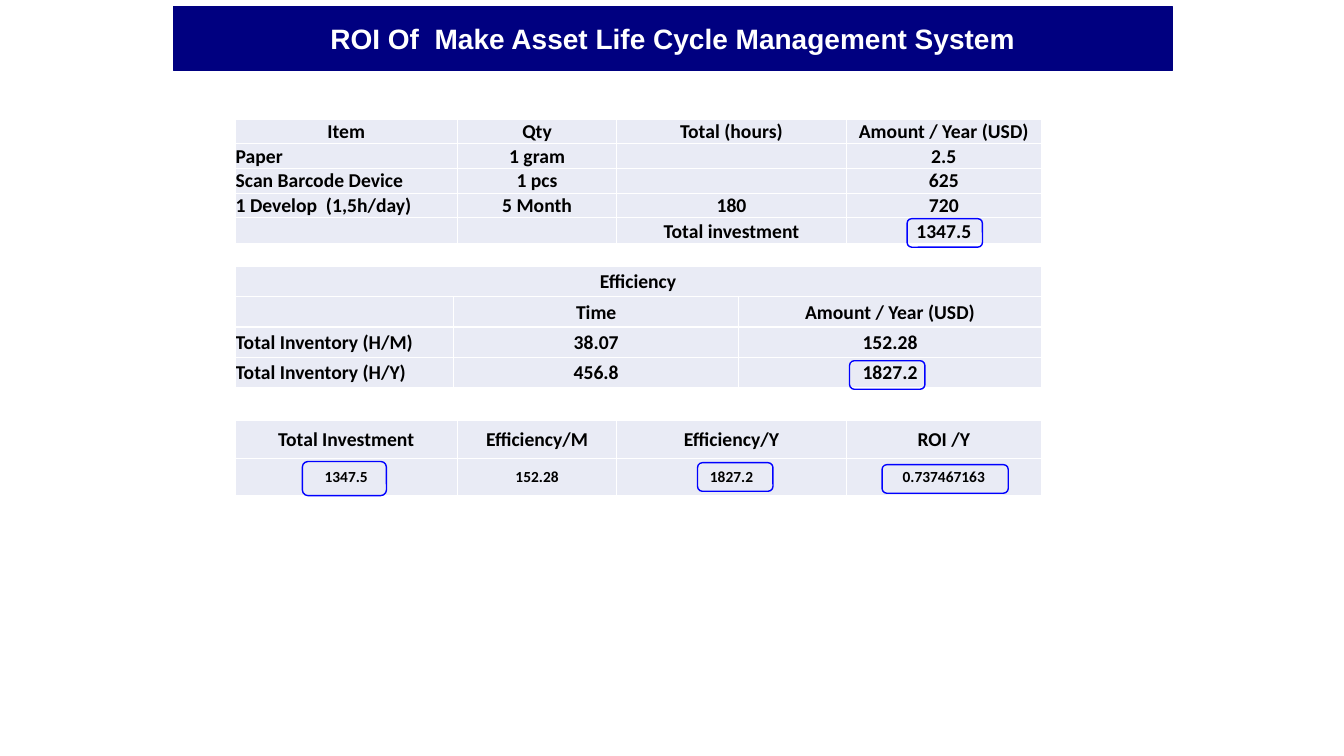
from lxml.etree import SubElement
from pptx import Presentation
from pptx.dml.color import RGBColor
from pptx.enum.shapes import MSO_SHAPE
from pptx.enum.text import MSO_ANCHOR, MSO_AUTO_SIZE, PP_ALIGN
from pptx.oxml.ns import qn
from pptx.util import Cm, Pt


def rgb(color):
    return RGBColor.from_string(color)


def add_borders(cell, color):
    tcPr = cell._tc.get_or_add_tcPr()
    for side in ("a:lnL", "a:lnR", "a:lnT", "a:lnB"):
        ln = SubElement(tcPr, qn(side), w=str(Pt(1)))
        fill = SubElement(ln, qn("a:solidFill"))
        SubElement(fill, qn("a:srgbClr"), val=color)


prs = Presentation()
prs.slide_width, prs.slide_height = Cm(33.87), Cm(19.05)
s = prs.slides.add_slide(prs.slide_layouts[5])

# Title banner
title = s.shapes.title
title.left, title.top, title.width, title.height = Cm(4.37), Cm(0.17), Cm(25.17), Cm(1.6)
title.fill.solid()
title.fill.fore_color.rgb = rgb("000080")
title.line.color.rgb = rgb("000080")
title.line.width = Pt(0.75)
tf = title.text_frame
tf.text = "ROI Of  Make Asset Life Cycle Management System"
tf.word_wrap = False
tf.auto_size = MSO_AUTO_SIZE.NONE
tf.vertical_anchor = MSO_ANCHOR.MIDDLE
p = tf.paragraphs[0]
p.alignment = PP_ALIGN.CENTER
p.space_before = Pt(4)
p.font.name, p.font.size, p.font.bold = "Arial", Pt(20), True
p.font.color.rgb = rgb("FFFFFF")

# Tables: top, column widths, row heights, label alignment, body size, rows
four_cols = [5.61, 4.01, 5.79, 4.91]
tables = [
    (3, four_cols, [0.62] * 4 + [0.66], PP_ALIGN.LEFT, 14, [
        ["Item", "Qty", "Total (hours)", "Amount / Year (USD)"],
        ["Paper", "1 gram", "", "2.5"],
        ["Scan Barcode Device", "1 pcs", "", "625"],
        ["1 Develop  (1,5h/day)", "5 Month", "180", "720"],
        ["", "", "Total investment", "1347.5"],
    ]),
    (6.72, [5.51, 7.19, 7.62], [0.76] * 4, PP_ALIGN.LEFT, 14, [
        ["Efficiency", "", ""],
        ["", "Time", "Amount / Year (USD)"],
        ["Total Inventory (H/M)", "38.07", "152.28"],
        ["Total Inventory (H/Y)", "456.8", "1827.2"],
    ]),
    (10.6, four_cols, [0.95] * 2, PP_ALIGN.CENTER, 11, [
        ["Total Investment", "Efficiency/M", "Efficiency/Y", "ROI /Y"],
        ["1347.5", "152.28", "1827.2", "0.737467163"],
    ]),
]
for top, widths, heights, label_align, body_size, rows in tables:
    table = s.shapes.add_table(len(rows), len(widths), Cm(5.92), Cm(top),
                               Cm(sum(widths)), Cm(sum(heights))).table
    table.first_row = table.horz_banding = False
    for column, width in zip(table.columns, widths):
        column.width = Cm(width)
    for i, (values, height) in enumerate(zip(rows, heights)):
        table.rows[i].height = Cm(height)
        for j, value in enumerate(values):
            cell = table.cell(i, j)
            add_borders(cell, "FFFFFF")
            cell.fill.solid()
            cell.fill.fore_color.rgb = rgb("E9EBF5")
            cell.margin_left = cell.margin_right = cell.margin_top = Cm(0.02)
            cell.margin_bottom = 0
            cell.vertical_anchor = MSO_ANCHOR.MIDDLE
            cell.text = value
            size = body_size if i else 14
            p = cell.text_frame.paragraphs[0]
            p.alignment = label_align if i and j == 0 else PP_ALIGN.CENTER
            p.font.name, p.font.size, p.font.bold = "Calibri", Pt(size), True
            p.font.color.rgb = rgb("000000")
            if not value:  # keeps empty cells from stretching their row
                SubElement(p._p, qn("a:endParaRPr"), sz=str(size * 100))
    if rows[0][0] == "Efficiency":
        table.cell(0, 0).merge(table.cell(0, 2))

# Frames around the key figures
frames = [
    (22.86, 5.51, 1.9, 0.72),
    (21.41, 9.09, 1.9, 0.72),
    (7.62, 11.63, 2.12, 0.86),
    (17.58, 11.66, 1.9, 0.72),
    (22.23, 11.71, 3.18, 0.72),
]
for frame in frames:
    sp = s.shapes.add_shape(MSO_SHAPE.ROUNDED_RECTANGLE, *map(Cm, frame))
    sp.shadow.inherit = False
    sp.fill.background()
    sp.line.color.rgb = rgb("0000FF")
    sp.line.width = Pt(1)

prs.save("out.pptx")
